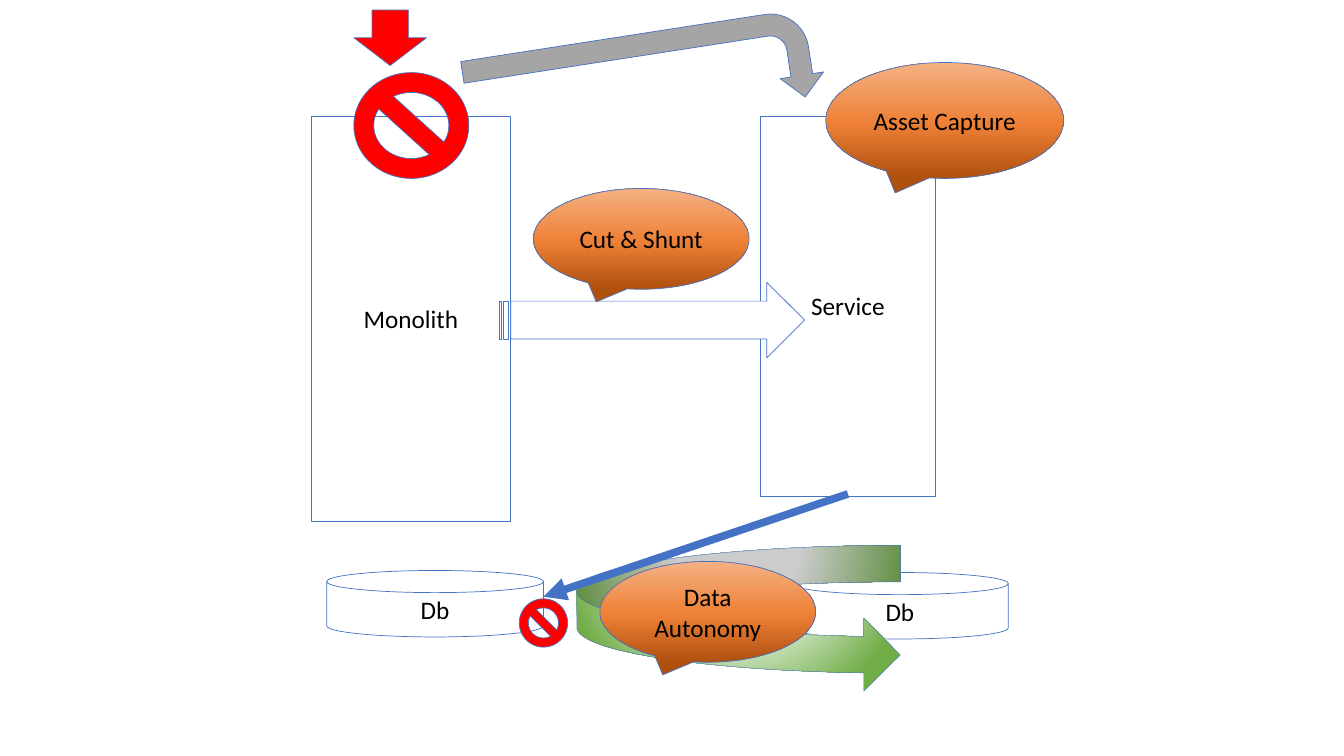
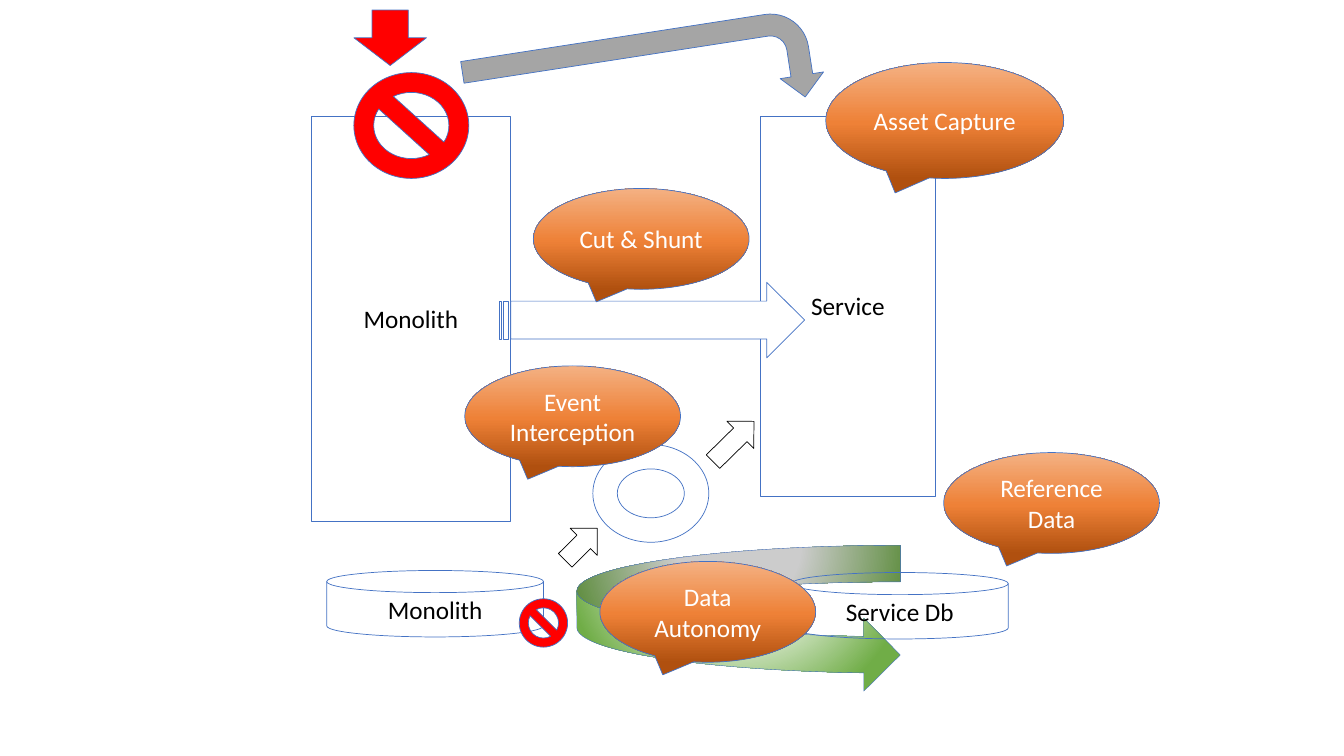
from lxml.etree import SubElement
from pptx import Presentation
from pptx.dml.color import RGBColor
from pptx.enum.shapes import MSO_CONNECTOR, MSO_SHAPE
from pptx.enum.text import MSO_ANCHOR, PP_ALIGN
from pptx.oxml import parse_xml
from pptx.oxml.ns import nsdecls, qn
from pptx.util import Inches, Pt

BLUE, RED, GREY = "4472C4", "FF0000", "A5A5A5"
WHITE, BLACK = "FFFFFF", "000000"
ORANGE_STOPS = [(0, "B0500F"), (48, "EE8137"), (100, "F4B183")]
GREEN_STOPS = [(0, WHITE), (35, WHITE), (100, "70AD47")]
UPWARD = '<a:lin ang="16200000" scaled="0"/>'
RADIAL = ('<a:path path="circle"><a:fillToRect l="50000" t="-80000" '
          'r="50000" b="180000"/></a:path>')


def rgb(hex_colour):
    return RGBColor.from_string(hex_colour)


class Diagram:
    """Holds the shared style and the slide being drawn."""

    font, text_size, outline = "Calibri", 18, 0.5

    def __init__(self, deck, callout_text):
        self.slide = deck.slides.add_slide(deck.slide_layouts[6])
        self.callout_text = callout_text

    def shape(self, kind, left, top, width, height, fill=None, line=BLUE,
              weight=outline, rotation=0):
        item = self.slide.shapes.add_shape(
            kind, Inches(left), Inches(top), Inches(width), Inches(height))
        item.shadow.inherit = False
        item.rotation = rotation
        if fill:
            item.fill.solid()
            item.fill.fore_color.rgb = rgb(fill)
        else:
            item.fill.background()
        item.line.color.rgb = rgb(line)
        item.line.width = Pt(weight)
        return item

    def gradient(self, item, stops, direction):
        marks = "".join(
            f'<a:gs pos="{percent * 1000}"><a:srgbClr val="{colour}"/></a:gs>'
            for percent, colour in stops)
        properties = item.element.spPr
        properties.replace(properties.find(qn("a:noFill")), parse_xml(
            f'<a:gradFill {nsdecls("a")} rotWithShape="1">'
            f'<a:gsLst>{marks}</a:gsLst>{direction}</a:gradFill>'))

    def label(self, item, text, colour=BLACK):
        frame = item.text_frame
        frame.word_wrap = True
        frame.vertical_anchor = MSO_ANCHOR.MIDDLE
        paragraph = frame.paragraphs[0]
        paragraph.alignment = PP_ALIGN.CENTER
        run = paragraph.add_run()
        run.text = text
        run.font.name = self.font
        run.font.size = Pt(self.text_size)
        run.font.color.rgb = rgb(colour)

    def system(self, text, left, width, height):
        self.label(self.shape(MSO_SHAPE.RECTANGLE, left, 1.15, width, height), text)

    def database(self, text, left, top):
        disk = self.shape(MSO_SHAPE.FLOWCHART_MAGNETIC_DISK, left, top, 2.15, 0.66)
        self.label(disk, text)

    def callout(self, text, left, top, width=2.14, height=1):
        bubble = self.shape(MSO_SHAPE.OVAL_CALLOUT, left, top, width, height)
        self.gradient(bubble, ORANGE_STOPS, UPWARD)
        self.label(bubble, text, self.callout_text)

    def no_entry(self, left, top, width, height):
        self.shape(MSO_SHAPE.NO_SYMBOL, left, top, width, height, RED)

    def data_flow(self):
        sweep = self.shape(MSO_SHAPE.CURVED_RIGHT_ARROW, 5.72, 5.41, 3.21, 1.45,
                           weight=0.25)
        self.gradient(sweep, GREEN_STOPS, RADIAL)

    def arrow(self, start, end, weight):
        link = self.slide.shapes.add_connector(
            MSO_CONNECTOR.STRAIGHT, *map(Inches, start + end))
        link.line.color.rgb = rgb(BLUE)
        link.line.width = Pt(weight)
        SubElement(link.line._get_or_add_ln(), qn("a:tailEnd"), type="triangle")
        SubElement(link.element.spPr, qn("a:effectLst"))

    def databases(self, monolith, service):
        self.database(service, 7.85, 5.68)
        self.database(monolith, 3.24, 5.66)

    def systems(self):
        self.system("Monolith", 3.09, 1.97, 4.02)
        self.system("Service", 7.54, 1.74, 3.77)

    def traffic_move(self):
        """Draw the blocked inbound traffic and its routes to the service."""
        self.no_entry(3.51, 0.72, 1.14, 1.05)
        self.shape(MSO_SHAPE.BENT_ARROW, 5.95, -1, 0.87, 3.54, GREY, rotation=81.2)
        self.shape(MSO_SHAPE.DOWN_ARROW, 3.51, 0.1, 0.72, 0.55, RED)
        self.callout("Asset Capture", 8.19, 0.62, 2.36, 1.15)
        self.shape(MSO_SHAPE.STRIPED_RIGHT_ARROW, 4.95, 2.8, 3.03, 0.75, WHITE)
        self.callout("Cut & Shunt", 5.29, 1.87)
        self.no_entry(5.15, 5.94, 0.48, 0.48)

    def data_autonomy(self):
        self.callout("Data Autonomy", 5.95, 5.57)


def direct_access(deck):
    diagram = Diagram(deck, BLACK)
    diagram.databases("Db", "Db")
    diagram.systems()
    diagram.traffic_move()
    diagram.data_flow()
    diagram.data_autonomy()
    diagram.arrow((8.41, 4.9), (5.39, 5.92), 5.5)


def event_interception(deck):
    diagram = Diagram(deck, WHITE)
    diagram.data_flow()
    diagram.databases("Monolith", "Service Db")
    diagram.shape(MSO_SHAPE.DONUT, 5.88, 4.41, 1.15, 0.97)
    for left, top, width, rotation in ((5.54, 5.21, 0.45, 315),
                                       (6.99, 4.19, 0.57, 315.5)):
        diagram.shape(MSO_SHAPE.RIGHT_ARROW, left, top, width, 0.38, WHITE,
                      line=BLACK, rotation=rotation)
    diagram.callout("Reference Data", 9.36, 4.49)
    diagram.systems()
    diagram.callout("Event Interception", 4.61, 3.63)
    diagram.traffic_move()
    diagram.data_autonomy()


def main():
    deck = Presentation()
    deck.slide_width, deck.slide_height = Inches(13.33), Inches(7.5)
    direct_access(deck)
    event_interception(deck)
    deck.save("out.pptx")


if __name__ == "__main__":
    main()
